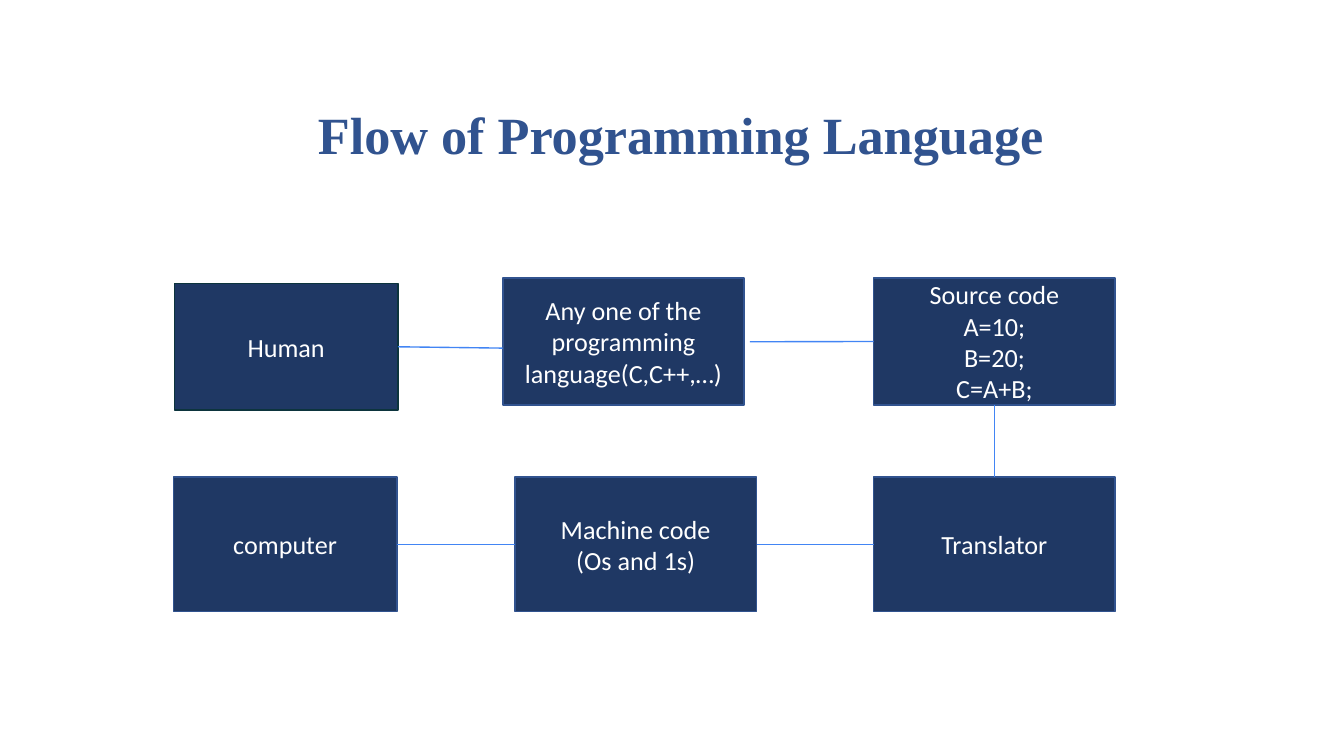
from dataclasses import dataclass
from typing import Optional

from pptx import Presentation
from pptx.dml.color import RGBColor
from pptx.enum.shapes import MSO_CONNECTOR, MSO_SHAPE
from pptx.enum.text import MSO_ANCHOR, PP_ALIGN
from pptx.oxml.ns import qn
from pptx.shapes.autoshape import Shape
from pptx.slide import Slide
from pptx.text.text import TextFrame
from pptx.util import Cm, Pt
from lxml.etree import SubElement

NAVY = RGBColor(0x1F, 0x38, 0x64)
BLUE = RGBColor(0x31, 0x53, 0x8F)
DARK_TEAL = RGBColor(0x0C, 0x34, 0x3D)
LINK_BLUE = RGBColor(0x42, 0x85, 0xF4)
WHITE = RGBColor(0xFF, 0xFF, 0xFF)

TOP, LEFT, BOTTOM, RIGHT = range(4)
NARROW, WIDE = 4.22, 4.57
UPPER_HEIGHT, LOWER_HEIGHT = 2.39, 2.54
UPPER_TOP, LOWER_TOP = 5.26, 9.02
RIGHT_COLUMN = 16.51


@dataclass(frozen=True)
class Step:
    """A box of the flow; lengths in centimetres."""
    lines: tuple[str, ...]
    left: float
    top: float
    width: float
    height: float
    outline: RGBColor = BLUE


@dataclass(frozen=True)
class Link:
    """A line between two points in centimetres; a side of None leaves that end free."""
    source: str
    source_side: Optional[int]
    target: str
    target_side: Optional[int]
    start: tuple[float, float] = (0, 0)
    end: tuple[float, float] = (0, 0)


STEPS = {
    "human": Step(("Human",), 3.3, 5.36, NARROW, UPPER_HEIGHT, DARK_TEAL),
    "language": Step(("Any one of the programming language(C,C++,…)",),
                     9.5, UPPER_TOP, WIDE, UPPER_HEIGHT),
    "source": Step(("Source code", "A=10;", "B=20;", "C=A+B;"),
                   RIGHT_COLUMN, UPPER_TOP, WIDE, UPPER_HEIGHT),
    "computer": Step(("computer",), 3.28, LOWER_TOP, NARROW, LOWER_HEIGHT),
    "machine": Step(("Machine code", "(Os and 1s)"),
                    9.73, LOWER_TOP, WIDE, LOWER_HEIGHT),
    "translator": Step(("Translator",), RIGHT_COLUMN, LOWER_TOP, WIDE, LOWER_HEIGHT),
}

LINKS = (
    Link("human", RIGHT, "language", None, end=(9.5, 6.58)),
    Link("language", None, "source", LEFT, start=(14.17, 6.46)),
    Link("translator", LEFT, "machine", RIGHT),
    Link("source", BOTTOM, "translator", TOP),
    Link("computer", RIGHT, "machine", LEFT),
)


def set_margins(frame: TextFrame) -> None:
    frame.word_wrap = True
    frame.margin_left = frame.margin_right = Cm(0.19)
    frame.margin_top = frame.margin_bottom = Cm(0.1)


def add_title(slide: Slide, title: str) -> None:
    box = slide.shapes.add_textbox(Cm(2.49), Cm(1.96), Cm(22.56), Cm(11.13))
    set_margins(box.text_frame)
    paragraph = box.text_frame.paragraphs[0]
    paragraph.line_spacing = 0.9
    paragraph.space_after = Pt(12)
    paragraph._p.get_or_add_pPr().set("marL", str(Cm(3.33)))
    run = paragraph.add_run()
    run.text = title
    run.font.name = "Times New Roman"
    run.font.size = Pt(28)
    run.font.bold = True
    run.font.color.rgb = BLUE


def add_step(slide: Slide, step: Step) -> Shape:
    box = slide.shapes.add_shape(MSO_SHAPE.RECTANGLE, Cm(step.left), Cm(step.top),
                                 Cm(step.width), Cm(step.height))
    box.shadow.inherit = False
    box.fill.solid()
    box.fill.fore_color.rgb = NAVY
    box.line.color.rgb = step.outline
    box.line.width = Pt(1)
    frame = box.text_frame
    set_margins(frame)
    frame.vertical_anchor = MSO_ANCHOR.MIDDLE
    for index, line in enumerate(step.lines):
        paragraph = frame.add_paragraph() if index else frame.paragraphs[0]
        paragraph.alignment = PP_ALIGN.CENTER
        run = paragraph.add_run()
        run.text = line
        run.font.name = "Calibri"
        run.font.size = Pt(14)
        run.font.color.rgb = WHITE
    return box


def add_link(slide: Slide, link: Link, boxes: dict[str, Shape]) -> None:
    line = slide.shapes.add_connector(
        MSO_CONNECTOR.STRAIGHT, *(Cm(value) for value in link.start + link.end))
    if link.source_side is not None:
        line.begin_connect(boxes[link.source], link.source_side)
    if link.target_side is not None:
        line.end_connect(boxes[link.target], link.target_side)
    line.line.color.rgb = LINK_BLUE
    line.line.width = Pt(0.75)
    SubElement(line._element.spPr, qn("a:effectLst"))


def main() -> None:
    deck = Presentation()
    deck.slide_width, deck.slide_height = Cm(25.4), Cm(14.29)
    slide = deck.slides.add_slide(deck.slide_layouts[6])
    add_title(slide, "Flow of Programming Language")
    boxes = {name: add_step(slide, step) for name, step in STEPS.items()}
    for link in LINKS:
        add_link(slide, link, boxes)
    deck.save("out.pptx")


if __name__ == "__main__":
    main()
